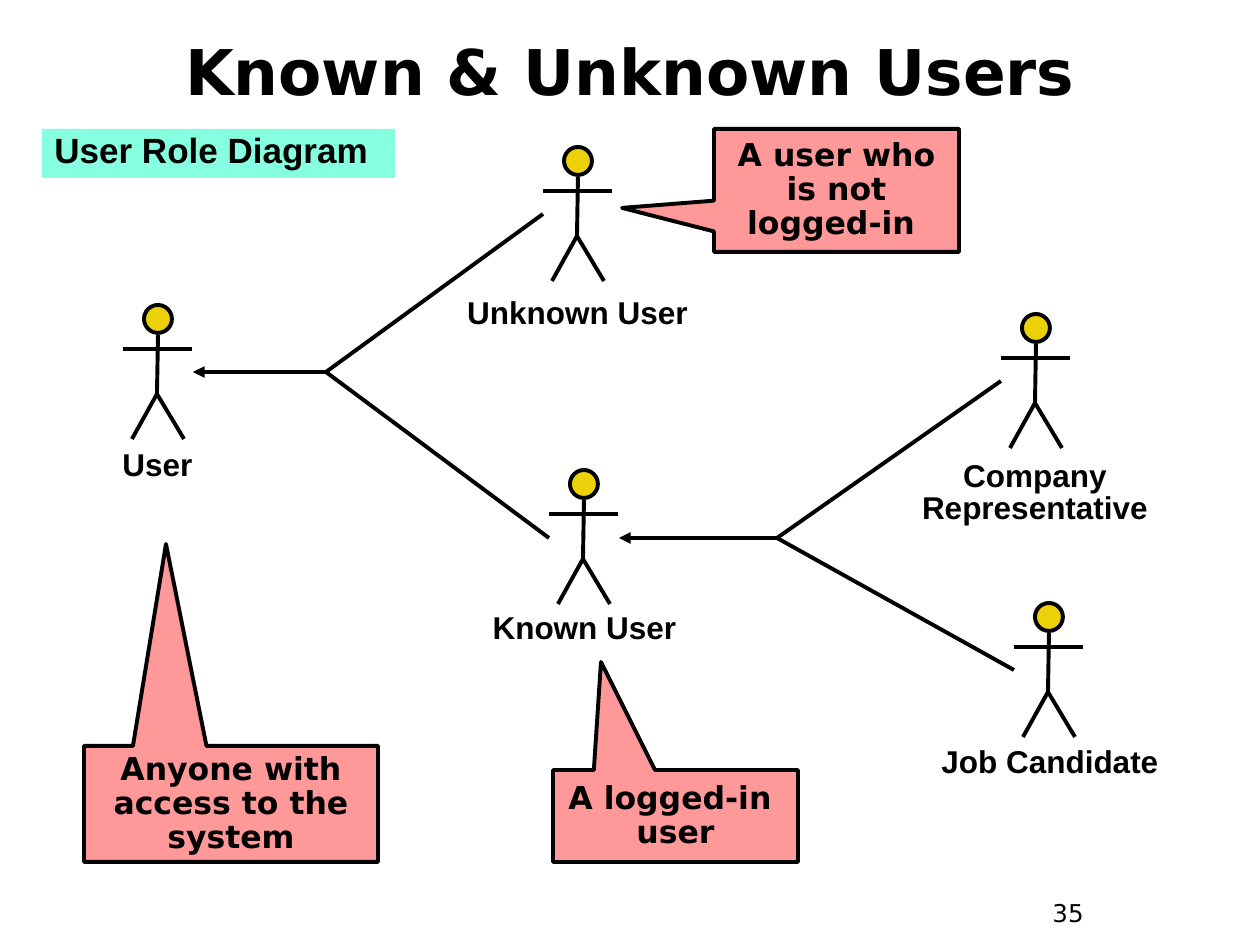
from lxml.etree import SubElement
from pptx import Presentation
from pptx.dml.color import RGBColor
from pptx.enum.shapes import MSO_CONNECTOR as CONN, MSO_SHAPE as SHAPE
from pptx.enum.text import MSO_ANCHOR as ANCHOR, PP_ALIGN as ALIGN
from pptx.oxml.ns import qn
from pptx.util import Pt

PX = 914400 / 126
BLACK = RGBColor(0x00, 0x00, 0x00)
GOLD = RGBColor(0xEC, 0xD1, 0x0A)
PINK = RGBColor(0xFF, 0x99, 0x99)
MINT = RGBColor(0x85, 0xFF, 0xDF)
ARIAL, DEJAVU = "Arial", "DejaVu Sans"


def px(*lengths):
    """Turn pixel lengths into EMU."""
    return [round(n * PX) for n in lengths]


def write(sp, text, font, size, bold=True, align=ALIGN.CENTER,
          spacing=1.0, before=0, anchor=ANCHOR.TOP):
    """Fill a shape with one styled paragraph."""
    tf = sp.text_frame
    tf.word_wrap = True
    tf.vertical_anchor = anchor
    p = tf.paragraphs[0]
    p.text = text
    p.alignment = align
    p.line_spacing = spacing
    p.space_before = Pt(before)
    p.font.name = font
    p.font.size = Pt(size)
    p.font.bold = bold
    p.font.color.rgb = BLACK


def add_text(shapes, box, text, font, size, **style):
    """Add a text box."""
    sp = shapes.add_textbox(*px(*box))
    write(sp, text, font, size, **style)


def add_filled(shapes, kind, box, color, outlined=True):
    """Add a flat filled shape, with a black outline if wanted."""
    sp = shapes.add_shape(kind, *px(*box))
    sp.shadow.inherit = False
    sp.fill.solid()
    sp.fill.fore_color.rgb = color
    if outlined:
        sp.line.color.rgb = BLACK
        sp.line.width = Pt(2.25)
    else:
        sp.line.fill.background()
    return sp


def add_line(shapes, start, end, arrow=False):
    """Draw a black line, with an arrowhead at its start if wanted."""
    line = shapes.add_connector(CONN.STRAIGHT, *px(*start, *end))
    line.line.color.rgb = BLACK
    line.line.width = Pt(2.25)
    SubElement(line._element.spPr, qn("a:effectLst"))
    if arrow:
        SubElement(line.line._get_or_add_ln(), qn("a:headEnd"), type="triangle")


def add_actor(s, left, top, name, label_box):
    """Draw a stick figure from its top left corner, and its label."""
    shapes = s.shapes.add_group_shape().shapes
    add_filled(shapes, SHAPE.OVAL, (left + 21, top, 28, 28), GOLD)
    hip = (34, 89)
    limbs = [((35, 30), hip), ((9, 134), hip), ((61, 134), hip), ((0, 44), (69, 44))]
    for (x1, y1), (x2, y2) in limbs:
        add_line(shapes, (left + x1, top + y1), (left + x2, top + y2))
    add_text(s.shapes, label_box, name, ARIAL, 18, spacing=0.85, before=11.2)


def add_callout(s, box, tip, text):
    """Add a callout whose wedge ends at the given point."""
    left, top, width, height = box
    sp = add_filled(s.shapes, SHAPE.RECTANGULAR_CALLOUT, box, PINK)
    sp.adjustments[0] = (tip[0] - left - width / 2) / width
    sp.adjustments[1] = (tip[1] - top - height / 2) / height
    write(sp, text, DEJAVU, 18, spacing=0.9, anchor=ANCHOR.MIDDLE)


def add_generalization(s, parent, fork, children):
    """Join child roles at a fork that points to their parent."""
    for child in children:
        add_line(s.shapes, fork, child)
    add_line(s.shapes, parent, fork, arrow=True)


def add_heading(s, box):
    """Add the slide title and the tag below it."""
    left, top, width, height = box
    add_text(s.shapes, box, "Known & Unknown Users", DEJAVU, 36, anchor=ANCHOR.MIDDLE)
    tag = add_filled(s.shapes, SHAPE.RECTANGLE, (left, top + 111, 353, 49), MINT, outlined=False)
    write(tag, "User Role Diagram", ARIAL, 20, align=ALIGN.LEFT, spacing=0.85, before=12.5)


def main():
    """Build the user role slide."""
    prs = Presentation()
    prs.slide_width, prs.slide_height = px(1260, 945)
    s = prs.slides.add_slide(prs.slide_layouts[6])

    add_heading(s, (42, 18, 1176, 105))
    add_actor(s, 123, 305, "User", (63, 445, 189, 45))
    add_actor(s, 543, 147, "Unknown User", (441, 293, 273, 45))
    add_actor(s, 549, 470, "Known User", (451, 608, 267, 45))
    add_actor(s, 1001, 314, "Company\nRepresentative", (909, 456, 252, 77))
    add_actor(s, 1014, 603, "Job Candidate", (924, 742, 252, 45))

    add_generalization(s, (193, 372), (326, 372), [(543, 214), (549, 538)])
    add_generalization(s, (619, 538), (777, 538), [(1001, 381), (1014, 670)])

    add_callout(s, (84, 746, 294, 116), (166, 544), "Anyone with access to the system")
    add_callout(s, (553, 770, 245, 92), (601, 662), "A logged-in \nuser")
    add_callout(s, (714, 129, 245, 123), (622, 208), "A user who is not logged-in ")

    add_text(s.shapes, (1040, 892, 94, 47), "35", DEJAVU, 14,
             bold=False, align=ALIGN.LEFT, before=8.8)
    prs.save("out.pptx")


if __name__ == "__main__":
    main()
